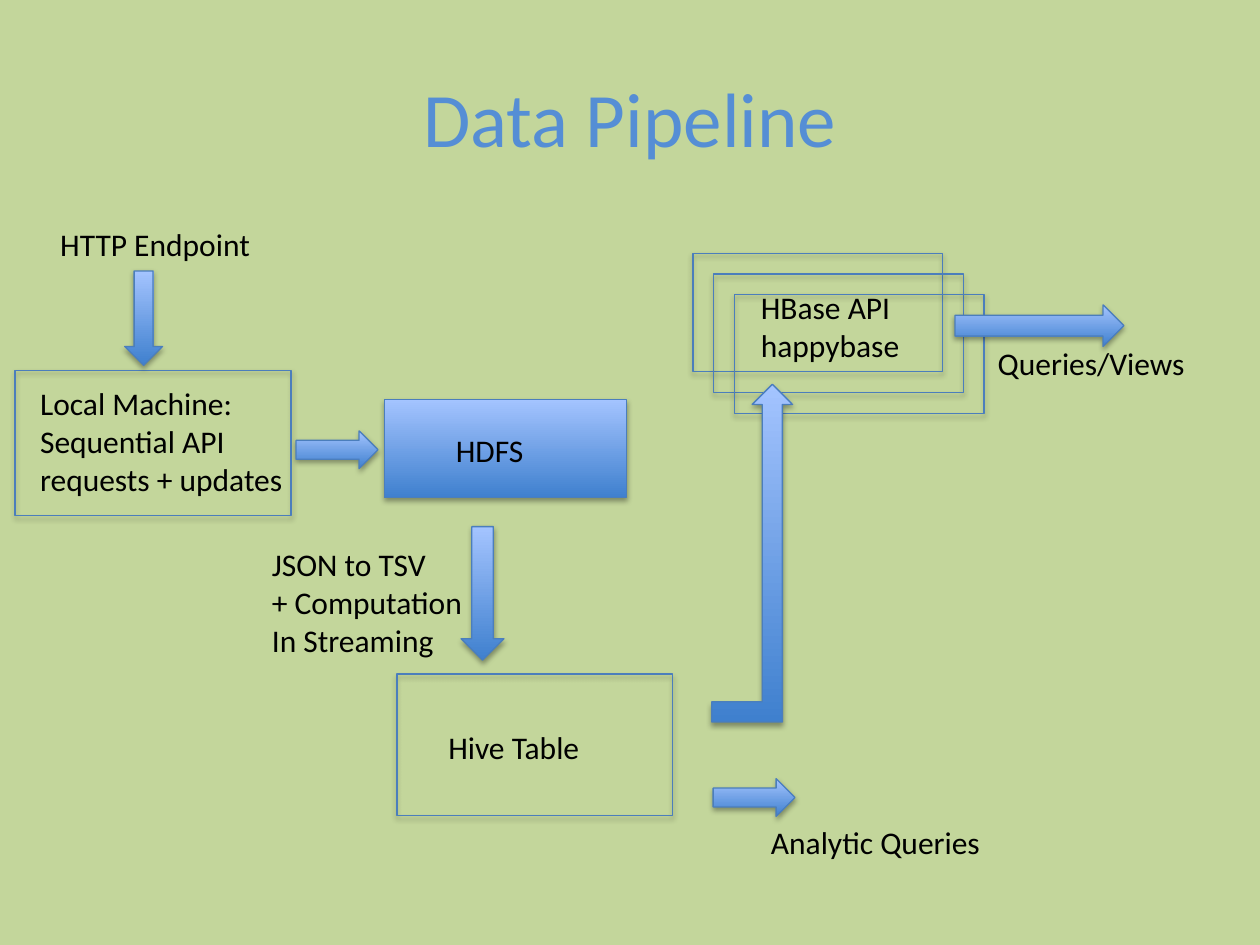
import pptx
import pptx.dml.color
import pptx.enum.shapes
import pptx.enum.text
import pptx.oxml
import pptx.oxml.ns
import pptx.util

COLORS = {
    "background": "C3D69B",
    "title": "558ED5",
    "text": "000000",
    "line": "4B7EBC",
    "dark": "3F80CE",
    "light": "A4C4FF",
    "shadow": "000000",
}
COLUMNS, ROWS = 100, 75
SHAPE = pptx.enum.shapes.MSO_SHAPE


def rgb(name):
    return pptx.dml.color.RGBColor.from_string(COLORS[name])


def write(tf, text, size=18, color="text", align="LEFT", anchor="TOP"):
    tf.word_wrap = True
    tf.vertical_anchor = pptx.enum.text.MSO_ANCHOR[anchor]
    for i, line in enumerate(text.split("\n")):
        p = tf.paragraphs[0] if i == 0 else tf.add_paragraph()
        p.alignment = pptx.enum.text.PP_ALIGN[align]
        r = p.add_run()
        r.text = line
        r.font.name = "Calibri"
        r.font.size = pptx.util.Pt(size)
        r.font.color.rgb = rgb(color)


class Deck:
    def __init__(self):
        self.prs = pptx.Presentation()
        self.prs.slide_width = pptx.util.Inches(10)
        self.prs.slide_height = pptx.util.Inches(7.5)
        self.slide = self.prs.slides.add_slide(self.prs.slide_layouts[5])
        fill = self.slide.background.fill
        fill.solid()
        fill.fore_color.rgb = rgb("background")

    def place(self, col, row, cols, rows):
        x = self.prs.slide_width / COLUMNS
        y = self.prs.slide_height / ROWS
        return [round(v) for v in (col * x, row * y, cols * x, rows * y)]

    def title(self, text, *at):
        sp = self.slide.shapes.title
        sp.left, sp.top, sp.width, sp.height = self.place(*at)
        write(sp.text_frame, text, size=44, color="title", align="CENTER", anchor="MIDDLE")

    def label(self, text, *at):
        sp = self.slide.shapes.add_textbox(*self.place(*at))
        write(sp.text_frame, text)
        sp.text_frame.auto_size = pptx.enum.text.MSO_AUTO_SIZE.SHAPE_TO_FIT_TEXT

    def shape(self, kind, *at, filled=True):
        sp = self.slide.shapes.add_shape(kind, *self.place(*at))
        if filled:
            sp.fill.gradient()
            sp.fill.gradient_angle = 90
            for stop, name in zip(sp.fill.gradient_stops, ("dark", "light")):
                stop.color.rgb = rgb(name)
        else:
            sp.fill.background()
        sp.line.color.rgb = rgb("line")
        sp.line.width = pptx.util.Pt(0.75)
        self.shadow(sp)

    def shadow(self, sp):
        sp.shadow.inherit = False
        effects = sp._element.spPr.find(pptx.oxml.ns.qn("a:effectLst"))
        effects.append(pptx.oxml.parse_xml(
            f'<a:outerShdw {pptx.oxml.ns.nsdecls("a")} blurRad="{pptx.util.Pt(3.1)}" '
            f'dist="{pptx.util.Pt(1.8)}" dir="5400000" rotWithShape="0">'
            f'<a:srgbClr val="{COLORS["shadow"]}"><a:alpha val="35000"/></a:srgbClr>'
            '</a:outerShdw>'))

    def outline(self, *at):
        self.shape(SHAPE.RECTANGLE, *at, filled=False)


def main():
    deck = Deck()
    deck.title("Data Pipeline", 5, 3, 90, 12.5)

    deck.outline(1.2, 29.4, 21.9, 11.5)
    deck.shape(SHAPE.RIGHT_ARROW, 23.5, 34.2, 6.5, 3)
    deck.label("Local Machine:\nSequential API requests + updates", 2.2, 30, 21.4, 10.1)

    deck.shape(SHAPE.DOWN_ARROW, 36.6, 41.8, 3.4, 10.6)
    deck.outline(31.5, 53.5, 21.9, 11.2)
    deck.label("Hive Table", 34.6, 57.3, 20.4, 4)
    deck.label("JSON to TSV\n+ Computation\nIn Streaming", 20.6, 42.8, 18.4, 10.1)

    deck.shape(SHAPE.RECTANGLE, 30.5, 31.7, 19.2, 7.8)
    deck.label("HDFS", 35.2, 33.7, 10, 4)
    deck.shape(SHAPE.DOWN_ARROW, 9.9, 21.5, 3, 7.5)

    deck.label("HBase API\nhappybase", 59.4, 22.4, 20.2, 7.1)
    deck.label("Queries/Views", 78.2, 26.8, 18.2, 4)
    for i in range(3):
        deck.outline(55 + 1.65 * i, 20.1 + 1.65 * i, 19.8, 9.4)
    deck.shape(SHAPE.BENT_UP_ARROW, 56.5, 30.5, 6.4, 26.8)
    deck.shape(SHAPE.RIGHT_ARROW, 75.8, 24.2, 13.4, 3.3)

    deck.label("HTTP Endpoint", 3.8, 17.4, 21.4, 4)
    deck.shape(SHAPE.RIGHT_ARROW, 56.6, 61.8, 6.5, 3)
    deck.label("Analytic Queries", 60.2, 64.8, 19.9, 4)

    deck.prs.save("out.pptx")


if __name__ == "__main__":
    main()
